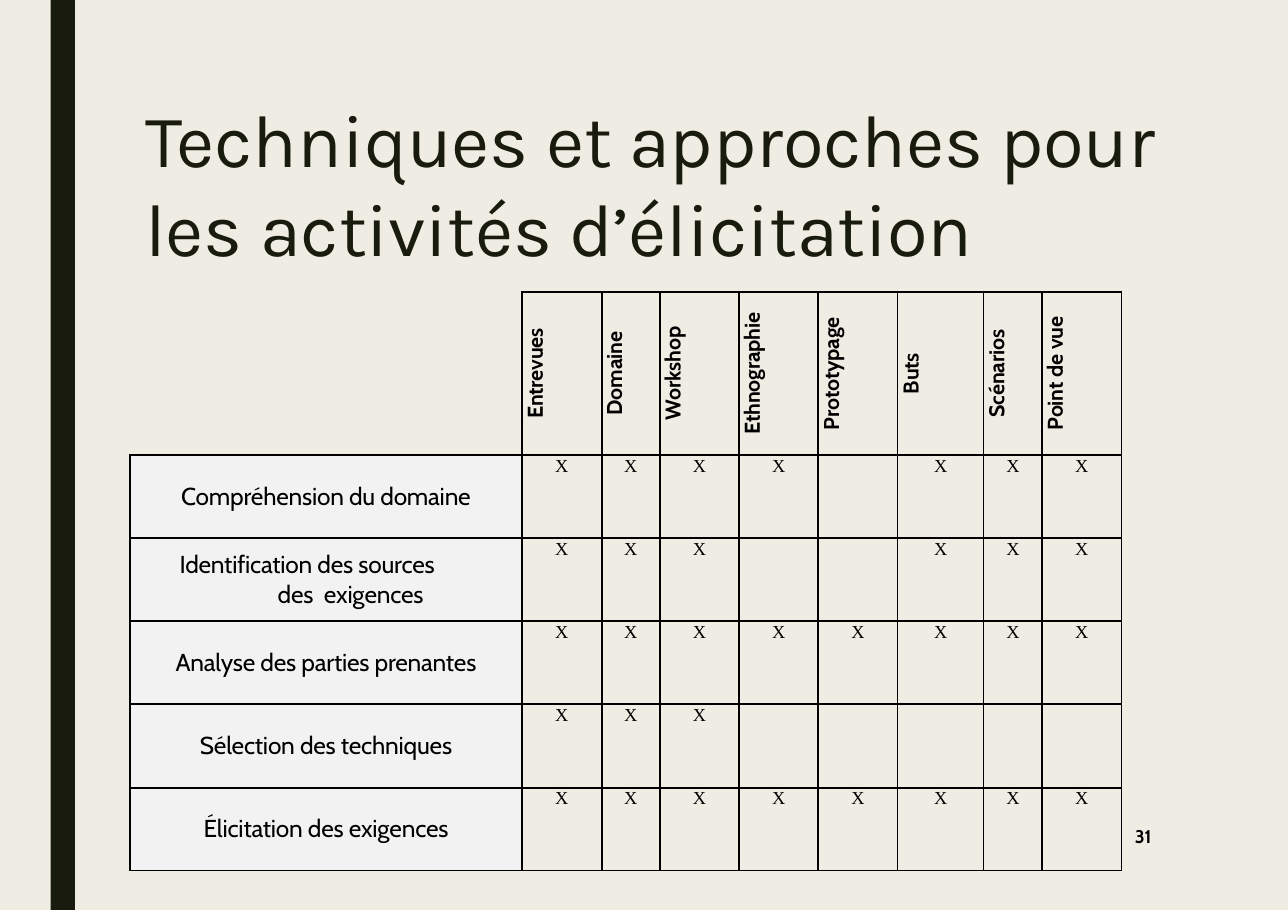
from dataclasses import dataclass

from lxml.etree import SubElement
from pptx import Presentation
from pptx.dml.color import RGBColor as RGB
from pptx.enum.shapes import MSO_SHAPE as Shape
from pptx.enum.text import MSO_ANCHOR as Anchor, PP_ALIGN as Align
from pptx.oxml.ns import qn
from pptx.util import Inches, Pt


@dataclass(frozen=True)
class Theme:
    """Colours, fonts, type sizes and line widths of the slide."""
    background: RGB = RGB(0xEF, 0xED, 0xE3)
    accent: RGB = RGB(0x19, 0x1B, 0x0E)
    ink: RGB = RGB(0, 0, 0)
    label_fill: RGB = RGB(0xF2, 0xF2, 0xF2)
    title_font: str = "Karla"
    body_font: str = "Cabin"
    mark_font: str = "Times New Roman"
    title_size: float = 48.5
    label_size: float = 16
    header_size: float = 14
    mark_size: float = 12
    thin: float = 1
    thick: float = 1.5


THEME = Theme()

TECHNIQUES = ["Entrevues", "Domaine", "Workshop", "Ethnographie",
              "Prototypage", "Buts", "Scénarios", "Point de vue"]
ACTIVITIES = [
    ("Compréhension du domaine", "XXXX-XXX"),
    ("Identification des sources des  exigences", "XXX--XXX"),
    ("Analyse des parties prenantes", "XXXXXXXX"),
    ("Sélection des techniques", "XXX-----"),
    ("Élicitation des exigences", "XXXXXXXX"),
]
HANGING_ACTIVITY = 2
COLUMN_WIDTHS = [3.56, 0.72, 0.53, 0.72, 0.72, 0.72, 0.78, 0.53, 0.72]
ROW_HEIGHTS = [1.48] + [0.755] * len(ACTIVITIES)
THICK_COLUMN_EDGES = range(1, 6)
THICK_ROW_EDGES = (0, 3, 4, 5)


def write(paragraph, text, font, size, color=THEME.ink, bold=False):
    """Add one styled run to a paragraph."""
    run = paragraph.add_run()
    run.text = text
    run.font.name, run.font.size, run.font.bold = font, Pt(size), bold
    run.font.color.rgb = color
    run._r.get_or_add_rPr().set("spc", "-10")


def add_text(slide, left, top, width, height, text, *style, **options):
    """Place a wrapping text box without margins."""
    frame = slide.shapes.add_textbox(
        Inches(left), Inches(top), Inches(width), Inches(height)).text_frame
    frame.word_wrap = True
    frame.margin_left = frame.margin_right = 0
    frame.margin_top = frame.margin_bottom = 0
    write(frame.paragraphs[0], text, *style, **options)


def add_side_bar(slide):
    """Draw the dark vertical bar at the left."""
    bar = slide.shapes.add_shape(
        Shape.RECTANGLE, Inches(0.46), 0, Inches(0.22), Inches(8.26))
    bar.shadow.inherit = False
    bar.fill.solid()
    bar.fill.fore_color.rgb = THEME.accent
    bar.line.fill.background()


def edge_width(index, thick_edges):
    """Return the width of a numbered grid line."""
    return THEME.thick if index in thick_edges else THEME.thin


def set_borders(cell, row, column):
    """Rule the four sides of a cell, leaving the corner open outside."""
    corner = row == column == 0
    sides = {
        "lnL": 0 if corner else edge_width(column, THICK_COLUMN_EDGES),
        "lnR": edge_width(column + 1, THICK_COLUMN_EDGES),
        "lnT": 0 if corner else edge_width(row, THICK_ROW_EDGES),
        "lnB": edge_width(row + 1, THICK_ROW_EDGES),
    }
    properties = cell._tc.get_or_add_tcPr()
    for position, (side, width) in enumerate(sides.items()):
        line = SubElement(properties, qn(f"a:{side}"), w=str(Pt(width)))
        properties.insert(position, line)
        if width:
            fill = SubElement(line, qn("a:solidFill"))
            SubElement(fill, qn("a:srgbClr"), val=str(THEME.ink))
        else:
            SubElement(line, qn("a:noFill"))


def prepare_cell(cell, row, column):
    """Clear the margins of a cell, then fill and rule it."""
    cell.margin_left = cell.margin_right = 0
    cell.margin_top = cell.margin_bottom = 0
    if row and not column:
        cell.fill.solid()
        cell.fill.fore_color.rgb = THEME.label_fill
    else:
        cell.fill.background()
    set_borders(cell, row, column)


def fill_header(cell, technique):
    """Write a technique name reading upwards."""
    cell.vertical_anchor = Anchor.MIDDLE
    cell._tc.get_or_add_tcPr().set("vert", "vert270")
    heading = cell.text_frame.paragraphs[0]
    heading.alignment = Align.CENTER
    write(heading, technique, THEME.body_font, THEME.header_size, bold=True)


def fill_label(cell, activity, hanging):
    """Write an activity name, centred or with its second line indented."""
    cell.vertical_anchor = Anchor.MIDDLE
    label = cell.text_frame.paragraphs[0]
    if hanging:
        cell.margin_right = Inches(0.6)
        indents = label._p.get_or_add_pPr()
        indents.set("marL", str(Inches(1.34)))
        indents.set("indent", str(Inches(-0.89)))
    else:
        label.alignment = Align.CENTER
    write(label, activity, THEME.body_font, THEME.label_size)


def fill_mark(cell, mark):
    """Put a cross in the cell if the technique suits the activity."""
    paragraph = cell.text_frame.paragraphs[0]
    paragraph.alignment = Align.CENTER
    paragraph.line_spacing = Pt(14)
    if mark == "X":
        write(paragraph, mark, THEME.mark_font, THEME.mark_size)


def add_matrix(slide):
    """Build the table of activities against techniques."""
    matrix = slide.shapes.add_table(
        len(ROW_HEIGHTS), len(COLUMN_WIDTHS), Inches(1.18), Inches(2.65),
        Inches(sum(COLUMN_WIDTHS)), Inches(sum(ROW_HEIGHTS))).table
    matrix.first_row = matrix.horz_banding = False
    for column, width in zip(matrix.columns, COLUMN_WIDTHS):
        column.width = Inches(width)
    for row, height in zip(matrix.rows, ROW_HEIGHTS):
        row.height = Inches(height)
    for row in range(len(ROW_HEIGHTS)):
        for column in range(len(COLUMN_WIDTHS)):
            prepare_cell(matrix.cell(row, column), row, column)
    for column, technique in enumerate(TECHNIQUES, 1):
        fill_header(matrix.cell(0, column), technique)
    for row, (activity, marks) in enumerate(ACTIVITIES, 1):
        fill_label(matrix.cell(row, 0), activity, row == HANGING_ACTIVITY)
        for column, mark in enumerate(marks, 1):
            fill_mark(matrix.cell(row, column), mark)


def main():
    """Build and save the slide."""
    deck = Presentation()
    deck.slide_width, deck.slide_height = Inches(11.69), Inches(8.26)
    slide = deck.slides.add_slide(deck.slide_layouts[6])
    slide.background.fill.solid()
    slide.background.fill.fore_color.rgb = THEME.background
    add_side_bar(slide)
    add_text(slide, 1.32, 0.85, 9.3, 1.79,
             "Techniques et approches pour les activités d’élicitation",
             THEME.title_font, THEME.title_size, THEME.accent)
    add_matrix(slide)
    add_text(slide, 10.3, 7.49, 0.25, 0.19, "31",
             THEME.body_font, THEME.mark_size, bold=True)
    deck.save("out.pptx")


main()
